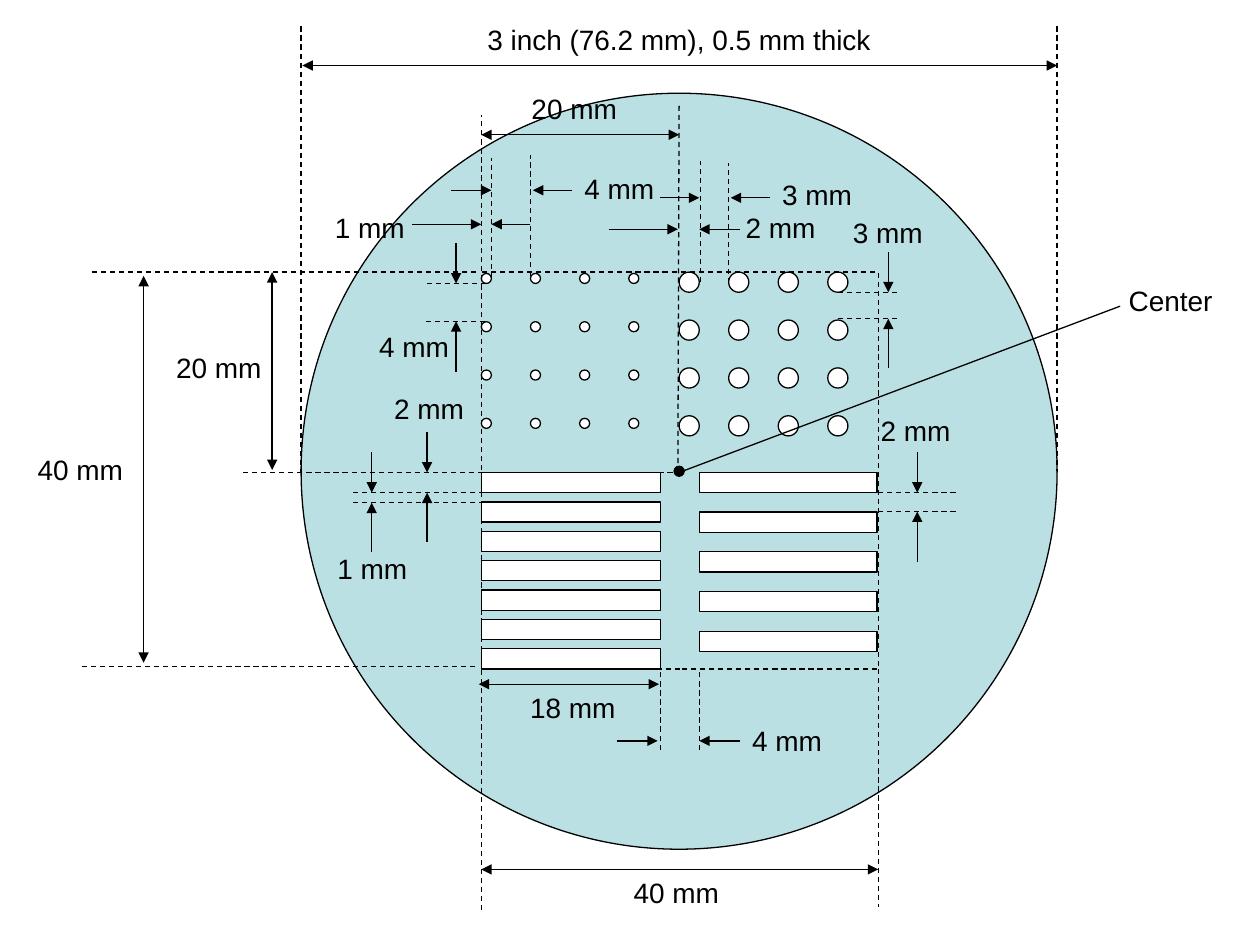
"""Builds a slide with the dimensioned drawing of a perforated round wafer."""
from lxml import etree
from pptx import Presentation
from pptx.dml.color import RGBColor
from pptx.enum.dml import MSO_LINE
from pptx.enum.shapes import MSO_CONNECTOR, MSO_SHAPE
from pptx.enum.text import MSO_AUTO_SIZE, PP_ALIGN
from pptx.oxml.ns import qn
from pptx.util import Inches, Pt

ELLIPSE, RECTANGLE = MSO_SHAPE.OVAL, MSO_SHAPE.RECTANGLE
STRAIGHT, DASH = MSO_CONNECTOR.STRAIGHT, MSO_LINE.DASH
LEFT, CENTER = PP_ALIGN.LEFT, PP_ALIGN.CENTER
COLORS = {"wafer": "BBE0E3", "hole": "FFFFFF", "ink": "000000"}
FONT = "Arial"

SQUARE_LEFT, SQUARE_TOP, SQUARE_SIZE = 3.82, 2.16, 3.15
SQUARE_RIGHT = SQUARE_LEFT + SQUARE_SIZE
MIDDLE_X, MIDDLE_Y = 5.39, 3.75
SLOT_HEIGHT = 0.16
HOLES_PER_SIDE = 4
SHORT_LABEL, LONG_LABEL = 0.78, 0.9

HOLE_GRIDS = [  # left, top, last left, last top, diameter
    (3.82, 2.17, 4.99, 3.32, 0.08),
    (5.39, 2.16, 6.57, 3.3, 0.16),
]
SLOT_COLUMNS = [  # left, width, count, last top
    (SQUARE_LEFT, 1.42, 7, 5.15),
    (5.55, 1.41, 5, 5.01),
]
EXTENSION_LINES = [
    (2.39, 0.21, 2.39, 3.75), (8.39, 0.21, 8.39, 3.74),
    (3.82, 2.15, 3.82, 0.91), (MIDDLE_X, 0.84, 5.38, MIDDLE_Y),
    (3.9, 2.21, 3.9, 1.25), (4.21, 2.19, 4.21, 1.23),
    (5.56, 2.24, 5.56, 1.28), (5.78, 2.25, 5.78, 1.29),
    (0.73, 2.16, 3.8, 2.16), (1.93, MIDDLE_Y, MIDDLE_X, MIDDLE_Y),
    (0.65, 5.29, 3.8, 5.29),
    (3.39, 2.25, 3.86, 2.25), (3.38, 2.55, 3.86, 2.55),
    (6.65, 2.32, 7.13, 2.32), (6.65, 2.53, 7.13, 2.53),
    (2.8, 3.91, 3.82, 3.91), (2.8, 3.99, 3.82, 3.99),
    (6.97, 3.91, 7.6, 3.91), (6.97, 4.06, 7.6, 4.06),
    (5.24, 5.95, 5.24, 5.32), (5.55, 5.95, 5.55, 5.32),
    (SQUARE_LEFT, 5.32, SQUARE_LEFT, 7.22),
    (SQUARE_RIGHT, 5.31, SQUARE_RIGHT, 7.2),
]
SPANS = [
    (2.4, 0.52, 8.39, 0.52), (3.82, 1.07, 5.39, 1.07),
    (1.14, 5.26, 1.14, 2.19), (2.16, 3.73, 2.16, 2.16),
    (3.8, 5.43, 5.23, 5.43), (3.82, 6.9, 6.97, 6.9),
]
HORIZONTAL_GAPS = [  # y, first start, first tip, second tip, second start
    (1.51, 3.58, 3.9, 4.23, 4.54), (1.78, 3.27, 3.82, 3.9, 4.21),
    (1.57, 5.24, 5.55, 5.8, 6.11), (1.82, 4.83, 5.38, 5.55, 5.87),
    (5.88, 4.9, 5.22, 5.55, 5.87),
]
VERTICAL_GAPS = [  # x, first start, first tip, second tip, second start
    (3.62, 1.93, 2.25, 2.55, 2.95), (7.05, 2, 2.32, 2.53, 2.92),
    (3.39, 3.43, 3.75, 3.91, 4.3), (2.95, 3.59, 3.91, 3.99, 4.38),
    (7.28, 3.59, 3.91, 4.06, 4.46),
]
LABELS = [
    ("20 mm", 4.12, 0.68, LONG_LABEL), ("20 mm", 1.3, 2.73, LONG_LABEL),
    ("40 mm", 0.2, 3.54, LONG_LABEL), ("40 mm", 4.93, 6.9, LONG_LABEL),
    ("18 mm", 4.11, 5.43, LONG_LABEL), ("Center", 8.86, 2.2, LONG_LABEL),
    ("1 mm", 2.56, 1.62, SHORT_LABEL), ("4 mm", 4.54, 1.31, SHORT_LABEL),
    ("4 mm", 2.91, 2.57, SHORT_LABEL), ("2 mm", 6.89, 3.23, SHORT_LABEL),
    ("2 mm", 3.03, 3.06, SHORT_LABEL), ("4 mm", 5.87, 5.69, SHORT_LABEL),
    ("1 mm", 2.58, 4.33, SHORT_LABEL), ("2 mm", 5.82, 1.62, SHORT_LABEL),
    ("3 mm", 6.11, 1.36, SHORT_LABEL), ("3 mm", 6.67, 1.66, SHORT_LABEL),
]


def color(name):
    return RGBColor.from_string(COLORS[name])


def spread(first, last, count):
    return [first + (last - first) * index / (count - 1) for index in range(count)]


def style_line(line, dashed=False):
    line.width = Pt(0.75)
    line.color.rgb = color("ink")
    if dashed:
        line.dash_style = DASH


def add_outline(slide, kind, left, top, width, height, fill=None, dashed=False):
    shape = slide.shapes.add_shape(
        kind, Inches(left), Inches(top), Inches(width), Inches(height))
    shape.shadow.inherit = False
    if fill:
        shape.fill.solid()
        shape.fill.fore_color.rgb = color(fill)
    else:
        shape.fill.background()
    style_line(shape.line, dashed)


def add_line(slide, start_x, start_y, end_x, end_y, dashed=False, arrows=()):
    connector = slide.shapes.add_connector(
        STRAIGHT, Inches(start_x), Inches(start_y), Inches(end_x), Inches(end_y))
    style_line(connector.line, dashed)
    for end in arrows:
        etree.SubElement(connector.line._get_or_add_ln(), qn(end), type="triangle")
    etree.SubElement(connector._element.spPr, qn("a:effectLst"))


def add_label(slide, text, left, top, width, alignment=LEFT):
    box = slide.shapes.add_textbox(
        Inches(left), Inches(top), Inches(width), Inches(0.37))
    text_frame = box.text_frame
    text_frame.text = text
    text_frame.word_wrap = True
    text_frame.auto_size = MSO_AUTO_SIZE.SHAPE_TO_FIT_TEXT
    paragraph = text_frame.paragraphs[0]
    paragraph.alignment = alignment
    font = paragraph.runs[0].font
    font.name, font.size = FONT, Pt(16)
    font.color.rgb = color("ink")


def add_wafer(slide):
    add_outline(slide, ELLIPSE, 2.39, 0.74, 6, 6, "wafer")
    add_outline(slide, RECTANGLE, SQUARE_LEFT, SQUARE_TOP,
                SQUARE_SIZE, SQUARE_SIZE, dashed=True)
    for left, top, last_left, last_top, diameter in HOLE_GRIDS:
        for y in spread(top, last_top, HOLES_PER_SIDE):
            for x in spread(left, last_left, HOLES_PER_SIDE):
                add_outline(slide, ELLIPSE, x, y, diameter, diameter, "hole")
    for left, width, count, last_top in SLOT_COLUMNS:
        for y in spread(MIDDLE_Y, last_top, count):
            add_outline(slide, RECTANGLE, left, y, width, SLOT_HEIGHT, "hole")
    add_outline(slide, ELLIPSE, 5.35, 3.7, 0.08, 0.08, "ink")


def add_dimensions(slide):
    for ends in EXTENSION_LINES:
        add_line(slide, *ends, dashed=True)
    for ends in SPANS:
        add_line(slide, *ends, arrows=("a:headEnd", "a:tailEnd"))
    for y, *stops in HORIZONTAL_GAPS:
        for start, tip in (stops[:2], stops[:1:-1]):
            add_line(slide, start, y, tip, y, arrows=("a:tailEnd",))
    for x, *stops in VERTICAL_GAPS:
        for start, tip in (stops[:2], stops[:1:-1]):
            add_line(slide, x, start, x, tip, arrows=("a:tailEnd",))
    add_line(slide, MIDDLE_X, MIDDLE_Y, 8.89, 2.43)


def main():
    presentation = Presentation()
    presentation.slide_width, presentation.slide_height = Inches(10), Inches(7.5)
    slide = presentation.slides.add_slide(presentation.slide_layouts[6])
    add_wafer(slide)
    add_dimensions(slide)
    add_label(slide, "3 inch (76.2 mm), 0.5 mm thick", 3.74, 0.13, 3.3, CENTER)
    for label in LABELS:
        add_label(slide, *label)
    presentation.save("out.pptx")


if __name__ == "__main__":
    main()
